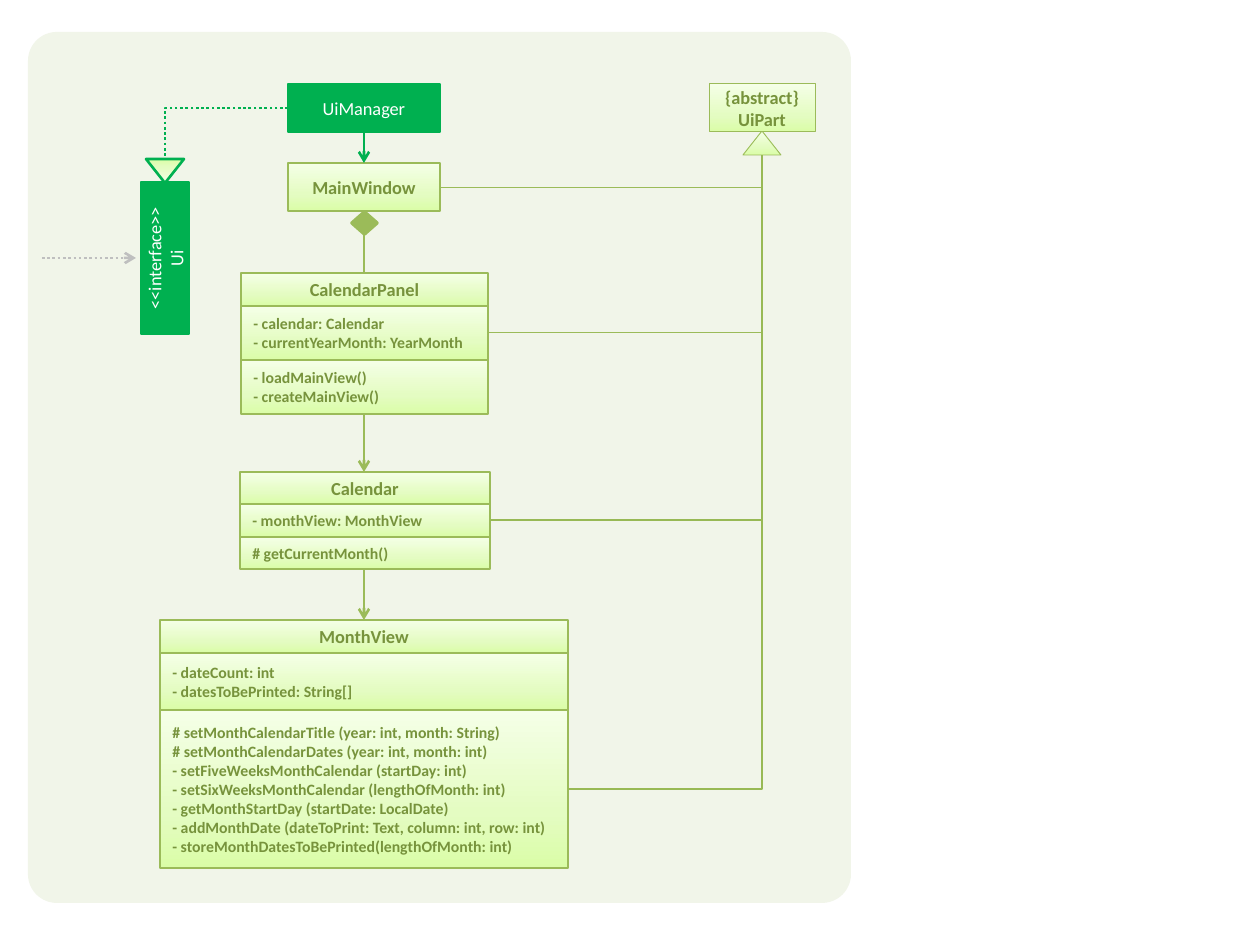
"""Builds the class diagram slide of the calendar user interface."""
from copy import deepcopy

from lxml import etree
from pptx import Presentation
from pptx.dml.color import RGBColor
from pptx.enum.dml import MSO_LINE
from pptx.enum.shapes import MSO_CONNECTOR, MSO_SHAPE
from pptx.enum.text import MSO_ANCHOR, PP_ALIGN
from pptx.oxml.ns import qn
from pptx.util import Inches, Pt

SCALE = 914400 / 126


def px(value):
    return round(value * SCALE)


def color(value):
    return RGBColor.from_string(value)


class Diagram:
    FONT = "Calibri"
    GREEN, OLIVE, TRUNK, INK = "00B050", "9BBB59", "98B955", "77933C"
    WHITE, GRAY, PANEL = "FFFFFF", "BFBFBF", "F1F5E9"
    GRADIENT = ("DAFDA7", "E4FCC2", "F5FFE7")

    def __init__(self, slide):
        self.slide = slide

    def shape(self, kind, x, y, w, h, fill=None, line=None, weight=1.5, turn=0):
        shape = self.slide.shapes.add_shape(kind, px(x), px(y), px(w), px(h))
        shape.shadow.inherit = False
        shape.rotation = turn
        if fill:
            shape.fill.solid()
            shape.fill.fore_color.rgb = color(fill)
        else:
            self.gradient(shape)
        if line:
            shape.line.color.rgb = color(line)
            shape.line.width = Pt(weight)
        else:
            shape.line.fill.background()
        return shape

    def gradient(self, shape):
        shape.fill.gradient()
        shape.fill.gradient_angle = 90
        stops = shape._element.spPr.find(".//" + qn("a:gsLst"))
        middle = deepcopy(stops[0])
        middle.set("pos", "35000")
        stops.insert(1, middle)
        for stop, value in zip(shape.fill.gradient_stops, self.GRADIENT):
            stop.color.rgb = color(value)

    def box(self, x, y, w, h, text, fill=None, line=OLIVE, weight=1.5, turn=0,
            ink=INK, size=10.5, align=PP_ALIGN.CENTER):
        shape = self.shape(MSO_SHAPE.RECTANGLE, x, y, w, h, fill, line, weight, turn)
        frame = shape.text_frame
        frame.text = text
        frame.word_wrap = True
        frame.vertical_anchor = MSO_ANCHOR.MIDDLE
        frame.margin_top = frame.margin_bottom = 0
        for paragraph in frame.paragraphs:
            paragraph.alignment = align
            for run in paragraph.runs:
                run.font.name = self.FONT
                run.font.size = Pt(size)
                run.font.bold = fill is None
                run.font.color.rgb = color(ink)

    def solid_box(self, x, y, w, h, text, turn=0):
        self.box(x, y, w, h, text, self.GREEN, self.GREEN, turn=turn, ink=self.WHITE)

    def class_box(self, x, y, w, name, name_height, *sections):
        self.box(x, y, w, name_height, name)
        y += name_height
        for height, members in sections:
            self.box(x, y, w, height, "\n".join(members), size=9, align=PP_ALIGN.LEFT)
            y += height

    def line(self, start, end, stroke=OLIVE, weight=1.5, arrow=False, dotted=False):
        bent = start[0] != end[0] and start[1] != end[1]
        kind = MSO_CONNECTOR.ELBOW if bent else MSO_CONNECTOR.STRAIGHT
        line = self.slide.shapes.add_connector(kind, *map(px, start + end))
        properties = line._element.spPr
        if bent:
            properties.find(qn("a:prstGeom")).set("prst", "bentConnector2")
        line.line.color.rgb = color(stroke)
        line.line.width = Pt(weight)
        if dotted:
            line.line.dash_style = MSO_LINE.ROUND_DOT
        if arrow:
            etree.SubElement(properties.find(qn("a:ln")), qn("a:tailEnd"), type="arrow")
        etree.SubElement(properties, qn("a:effectLst"))


prs = Presentation()
prs.slide_width, prs.slide_height = Inches(10), Inches(7.5)
d = Diagram(prs.slides.add_slide(prs.slide_layouts[6]))
AXIS, TRUNK_X, TRUNK_Y = 364, 762, 155

panel = d.shape(MSO_SHAPE.ROUNDED_RECTANGLE, 28, 32, 823, 871, d.PANEL)
panel.adjustments[0] = 0.035

d.box(288, 163, 152, 48, "MainWindow")
d.solid_box(288, 84, 152, 48, "UiManager")
d.line((AXIS, 132), (AXIS, 163), d.GREEN, arrow=True)
d.shape(MSO_SHAPE.ISOSCELES_TRIANGLE, 743, 131, 38, 24, line=d.OLIVE, weight=0.5)
d.line((42, 258), (136, 258), d.GRAY, arrow=True, dotted=True)
d.shape(MSO_SHAPE.FLOWCHART_DECISION, 352, 212, 25, 22, d.OLIVE, d.OLIVE, 2)
d.line((AXIS, 228), (AXIS, 273))
d.box(709, 84, 106, 48, "{abstract}\vUiPart", weight=0.5)

d.solid_box(89, 234, 152, 48, "<<interface>>\nUi", turn=270)
d.shape(MSO_SHAPE.ISOSCELES_TRIANGLE, 146, 159, 38, 24, line=d.GREEN, turn=180)
d.line((288, 108), (165, 159), d.GREEN, dotted=True)

d.class_box(241, 273, 247, "CalendarPanel", 33,
            (54, ["- calendar: Calendar", "- currentYearMonth: YearMonth"]),
            (54, ["- loadMainView()", "- createMainView()"]))
d.class_box(240, 472, 250, "Calendar", 32,
            (33, ["- monthView: MonthView"]),
            (32, ["# getCurrentMonth()"]))
d.class_box(160, 620, 408, "MonthView", 33,
            (57, ["- dateCount: int", "- datesToBePrinted: String[]"]),
            (158, ["# setMonthCalendarTitle (year: int, month: String)",
                   "# setMonthCalendarDates (year: int, month: int)",
                   "- setFiveWeeksMonthCalendar (startDay: int)",
                   "- setSixWeeksMonthCalendar (lengthOfMonth: int)",
                   "- getMonthStartDay (startDate: LocalDate)",
                   "- addMonthDate (dateToPrint: Text, column: int, row: int)",
                   "- storeMonthDatesToBePrinted(lengthOfMonth: int)"]))

for top, bottom in ((414, 472), (569, 620)):
    d.line((AXIS, top), (AXIS, bottom), arrow=True)

for x, y, stroke, weight in ((440, 187, d.OLIVE, 0.5), (488, 333, d.OLIVE, 0.5),
                             (490, 520, d.TRUNK, 0.75), (568, 789, d.TRUNK, 0.75)):
    d.line((x, y), (TRUNK_X, TRUNK_Y), stroke, weight)

prs.save("out.pptx")
